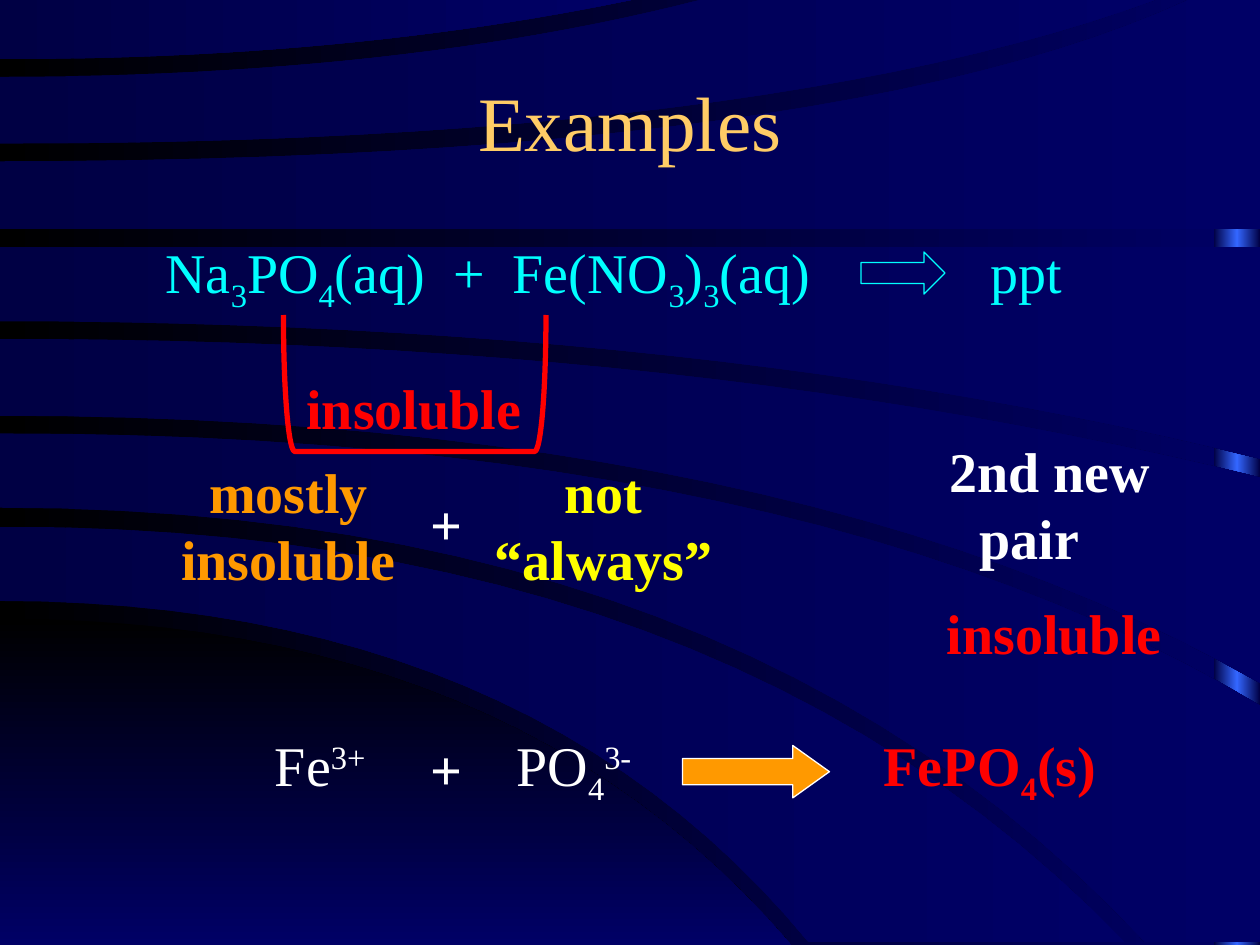
from copy import deepcopy
from dataclasses import dataclass

from lxml.etree import SubElement
from pptx import Presentation
from pptx.dml.color import RGBColor
from pptx.dml.fill import FillFormat
from pptx.enum.shapes import MSO_SHAPE
from pptx.enum.text import MSO_ANCHOR, PP_ALIGN
from pptx.oxml.ns import qn
from pptx.slide import Slide
from pptx.util import Inches, Pt


@dataclass(frozen=True)
class Theme:
    font: str = "Times New Roman"
    title_size: int = 44
    body_size: int = 32
    black: str = "000000"
    navy: str = "000066"
    midnight: str = "000044"
    glow: str = "3366FF"
    gold: str = "FFCC66"
    cyan: str = "00FFFF"
    white: str = "FFFFFF"
    orange: str = "FF9900"
    yellow: str = "FFFF00"
    red: str = "FF0000"


@dataclass(frozen=True)
class Area:
    column: float
    row: float
    columns: float
    rows: float


@dataclass(frozen=True)
class Edge:
    """A curve in inches that leaves the left side level and bends after its control."""

    start_y: float
    control_x: float
    end_x: float
    end_y: float

    def points(self) -> list[tuple[float, float]]:
        """Sample the quadratic curve from left to right."""
        shares = [step / CURVE_STEPS for step in range(CURVE_STEPS + 1)]
        return [(2 * t * (1 - t) * self.control_x + t * t * self.end_x,
                 self.start_y + t * t * (self.end_y - self.start_y)) for t in shares]


@dataclass(frozen=True)
class Wave:
    upper: Edge
    lower: Edge


@dataclass(frozen=True)
class Label:
    area: Area
    lines: tuple[str, ...]
    color: str
    bold: bool = True
    centred: bool = True
    size: int = Theme.body_size
    anchor: MSO_ANCHOR = MSO_ANCHOR.TOP
    left_inset: float = 0.1
    tab: float = 0
    last_right_indent: float = 0


@dataclass(frozen=True)
class Symbol:
    kind: MSO_SHAPE
    area: Area
    line: str
    width: float
    fill: str = ""
    adjustments: tuple[float, ...] = ()
    rotation: int = 0


THEME = Theme()
COLUMNS, ROWS = 120, 90
CELL = Inches(10) // COLUMNS
CURVE_STEPS = 24
BASELINES = {"_": -25000, "^": 30000}

HILL = Wave(Edge(4.91, 4.07, 6.28, 7.5), Edge(7.5, 3, 6.28, 7.5))
WAVES = (
    Wave(Edge(4.18, 5.75, 8.93, 7.48), Edge(4.77, 4.19, 6.42, 7.48)),
    Wave(Edge(3.44, 6.4, 10, 5.6), Edge(4.03, 5.88, 9.09, 7.48)),
    Wave(Edge(2.69, 5.54, 10, 3.79), Edge(3.3, 6.28, 10, 5.42)),
    Wave(Edge(1.96, 5, 10, 1.96), Edge(2.55, 5.64, 10, 3.64)),
    Wave(Edge(1.28, 6.64, 9.43, 0), Edge(1.82, 5, 10, 1.82)),
    Wave(Edge(0.61, 3.18, 5.56, 0), Edge(1.14, 6.05, 9.17, 0)),
    Wave(Edge(0, 2.5, 5.01, 0), Edge(0.47, 2.75, 5.01, 0)),
)

LABELS = (
    Label(Area(9, 4, 102, 15), ("Examples",), THEME.gold, bold=False, size=THEME.title_size,
          anchor=MSO_ANCHOR.MIDDLE),
    Label(Area(10, 22, 105, 54), ("Na|_3|PO|_4|(aq)  +  Fe(NO|_3|)|_3|(aq)\tppt",), THEME.cyan,
          bold=False, centred=False, left_inset=0.48, tab=6.55),
    Label(Area(84, 41, 32, 7.5), ("2nd new", "pair"), THEME.white, last_right_indent=0.33),
    Label(Area(25, 69, 12, 7.5), ("Fe|^3+",), THEME.white, bold=False, centred=False),
    Label(Area(48, 69, 15, 7.5), ("PO|_4|^3-",), THEME.white, bold=False, centred=False),
    Label(Area(83, 69, 24, 7.5), ("FePO|_4|(s)",), THEME.red, centred=False),
    Label(Area(36, 69.4, 13, 7.5), ("+",), THEME.white),
    Label(Area(89, 56.4, 24, 7.5), ("insoluble",), THEME.red, centred=False),
    Label(Area(28, 35, 24, 7.5), ("insoluble",), THEME.red, centred=False),
    Label(Area(16, 43, 23, 14), ("mostly insoluble",), THEME.orange),
    Label(Area(45, 43, 25, 14), ("not “always”",), THEME.yellow),
    Label(Area(36, 46, 13, 7.5), ("+",), THEME.white),
)

SYMBOLS = (
    Symbol(MSO_SHAPE.RIGHT_ARROW, Area(82, 24, 8, 4), THEME.cyan, 0.75, adjustments=(0.5, 0.5)),
    Symbol(MSO_SHAPE.RIGHT_ARROW, Area(65, 71, 14, 5), THEME.white, 0.75, THEME.orange, (0.5, 0.7)),
    Symbol(MSO_SHAPE.LEFT_BRACKET, Area(33, 24, 13, 25), THEME.red, 3, rotation=270),
)


def place(area: Area) -> tuple[int, ...]:
    """Turn a grid area into left, top, width and height."""
    return tuple(round(cells * CELL) for cells in (area.column, area.row, area.columns, area.rows))


def shade(fill: FillFormat, start: str, end: str, angle: int = 0) -> None:
    """Blend a fill from start to end, with the angle counted anticlockwise."""
    fill.gradient()
    fill.gradient_angle = angle
    for stop, color, position in zip(fill.gradient_stops, (start, end), (0, 1)):
        stop.color.rgb = RGBColor.from_string(color)
        stop.position = position


def draw_edge_glow(slide: Slide) -> None:
    """Draw the bar along the right edge, brightest in its middle."""
    bar = slide.shapes.add_shape(MSO_SHAPE.RECTANGLE, *place(Area(115.6, 0, 4.4, ROWS)))
    bar.shadow.inherit = False
    bar.line.fill.background()
    shade(bar.fill, THEME.midnight, THEME.glow)
    bar.fill.gradient_stops[1].position = 0.5
    stops = bar.element.spPr.find(qn("a:gradFill")).find(qn("a:gsLst"))
    closing_stop = deepcopy(stops[0])
    closing_stop.set("pos", "100000")
    stops.append(closing_stop)


def draw_wave(slide: Slide, wave: Wave, start: str, end: str, angle: int = 0) -> None:
    """Fill the region between two edges, squared off at its right end."""
    upper, lower = wave.upper, wave.lower
    corner = (max(upper.end_x, lower.end_x),
              lower.end_y if upper.end_x > lower.end_x else upper.end_y)
    points = [*upper.points(), corner, *reversed(lower.points())]
    builder = slide.shapes.build_freeform(*(Inches(value) for value in points[0]))
    builder.add_line_segments([(Inches(x), Inches(y)) for x, y in points[1:]], close=True)
    region = builder.convert_to_shape()
    region.shadow.inherit = False
    region.line.fill.background()
    shade(region.fill, start, end, angle)


def draw_label(slide: Slide, label: Label) -> None:
    """Write a label whose marked parts are lowered or raised."""
    frame = slide.shapes.add_textbox(*place(label.area)).text_frame
    frame.word_wrap = True
    frame.vertical_anchor = label.anchor
    frame.margin_left = Inches(label.left_inset)
    for index, line in enumerate(label.lines):
        paragraph = frame.add_paragraph() if index else frame.paragraphs[0]
        paragraph.alignment = PP_ALIGN.CENTER if label.centred else PP_ALIGN.LEFT
        properties = paragraph._p.get_or_add_pPr()
        if label.tab:
            tabs = SubElement(properties, qn("a:tabLst"))
            SubElement(tabs, qn("a:tab"), pos=str(Inches(label.tab)), algn="l")
        if index and label.last_right_indent:
            properties.set("marR", str(Inches(label.last_right_indent)))
        paragraph.font.name = THEME.font
        paragraph.font.size = Pt(label.size)
        paragraph.font.bold = label.bold
        paragraph.font.color.rgb = RGBColor.from_string(label.color)
        for part in line.split("|"):
            run = paragraph.add_run()
            run.text = part.lstrip("_^")
            if part[0] in BASELINES:
                run._r.get_or_add_rPr().set("baseline", str(BASELINES[part[0]]))


def draw_symbol(slide: Slide, symbol: Symbol) -> None:
    """Draw an arrow or bracket."""
    shape = slide.shapes.add_shape(symbol.kind, *place(symbol.area))
    shape.shadow.inherit = False
    shape.rotation = symbol.rotation
    for index, value in enumerate(symbol.adjustments):
        shape.adjustments[index] = value
    shape.line.color.rgb = RGBColor.from_string(symbol.line)
    shape.line.width = Pt(symbol.width)
    if symbol.fill:
        shape.fill.solid()
        shape.fill.fore_color.rgb = RGBColor.from_string(symbol.fill)
    else:
        shape.fill.background()


def main() -> None:
    """Build the slide and save it."""
    deck = Presentation()
    deck.slide_width, deck.slide_height = COLUMNS * CELL, ROWS * CELL
    slide = deck.slides.add_slide(deck.slide_layouts[6])
    shade(slide.background.fill, THEME.black, THEME.navy)
    draw_edge_glow(slide)
    draw_wave(slide, HILL, THEME.black, THEME.navy, angle=270)
    for wave in WAVES:
        draw_wave(slide, wave, THEME.midnight, THEME.navy)
    for label in LABELS:
        draw_label(slide, label)
    for symbol in SYMBOLS:
        draw_symbol(slide, symbol)
    deck.save("out.pptx")


if __name__ == "__main__":
    main()
